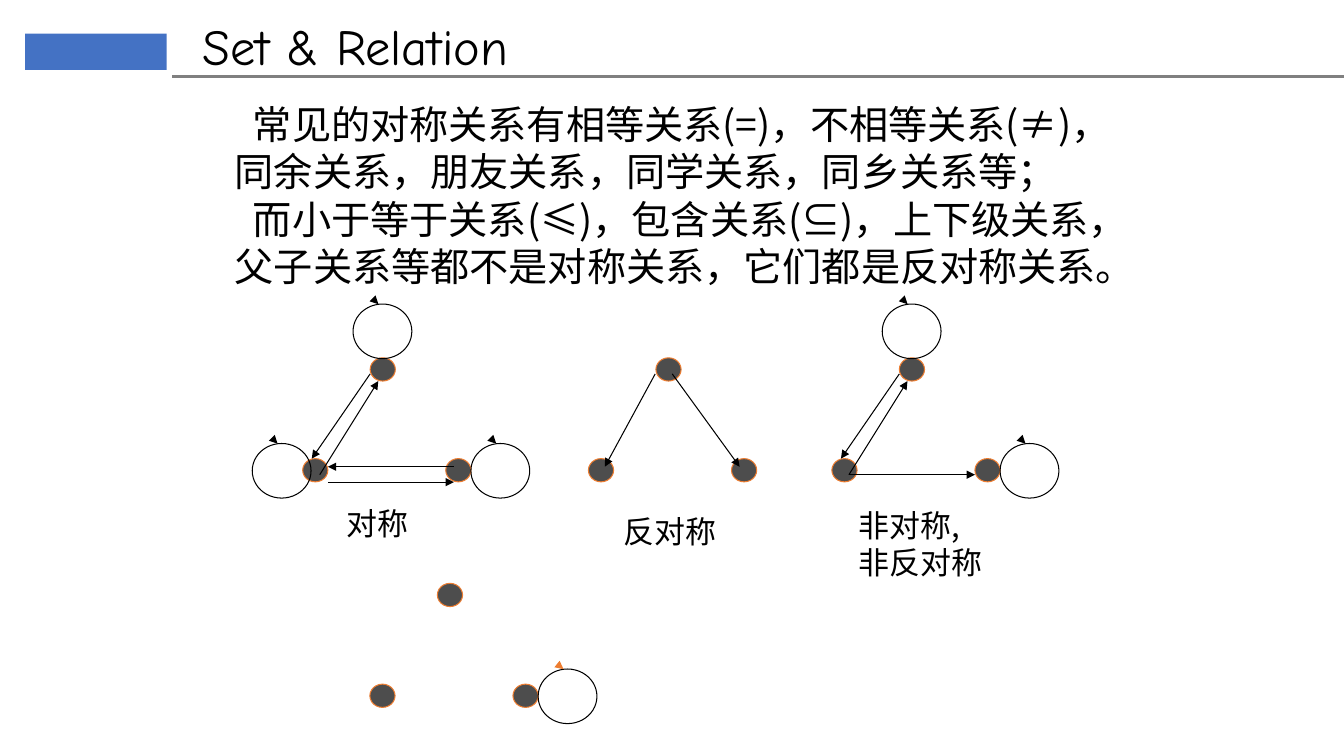
import pptx
import pptx.dml.color
import pptx.enum.shapes
import pptx.enum.text
import pptx.oxml.ns
import pptx.util
from lxml import etree

Pt = pptx.util.Pt
qn = pptx.oxml.ns.qn
ANCHOR = pptx.enum.text.MSO_ANCHOR
SHAPE = pptx.enum.shapes.MSO_SHAPE


class Theme:
    ink, dot, accent = "000000", "4D4D4D", "ED7D31"
    badge, rule = "4472C4", "808080"
    heading_size, body_size, label_size = 36, 28, 22.1
    heading_font, text_font = "Comic Neue", "Noto Sans CJK SC"
    hairline, rule_width = 0.75, 2


# Node and loop corners, and arrow ends, relative to a graph's box
DOT_SIZE, LOOP_SIZE = (18, 16.6), (42, 39)
NODES = {"top": (48.2, 0), "left": (0, 72), "right": (102.2, 72)}
LOOPS = {"top": (36, -38.4), "left": (-36, 61.2), "right": (120.2, 61.2)}
UP = (12.2, 83.5, 54, 16.6)
DOWN = (48.2, 11.5, 6.5, 72)

GRAPHS = [
    dict(box=(216.2, 255.6), loops=("top", "left", "right"),
         arrows=(UP, DOWN, (18, 88.8, 108, 88.8), (108, 77.8, 18, 77.8))),
    dict(box=(420.3, 255.6), loops=(),
         arrows=((47.7, 11.5, 11.7, 77.8), (59.9, 11.5, 108, 77.8))),
    dict(box=(594.2, 255.6), loops=("top", "right"),
         arrows=(UP, DOWN, (12.2, 83.5, 102.2, 83.5))),
]
SPARE_GRAPH = dict(box=(264.2, 416.7), loops=("right",), arrows=(), tip_color=Theme.accent)

LABELS = [
    ("对称", (240.5, 356.4, 66.2, 33.8)),
    ("反对称", (438.5, 362.2, 102.2, 33.8)),
    ("非对称,\v非反对称", (606.2, 357.9, 131.8, 61.2)),
]
EXAMPLES = [
    "常见的对称关系有相等关系(=)，不相等关系(≠)，同余关系，朋友关系，同学关系，同乡关系等；",
    "而小于等于关系(≤)，包含关系(⊆)，上下级关系，父子关系等都不是对称关系，它们都是反对称关系。",
]


def rgb(color):
    return pptx.dml.color.RGBColor.from_string(color)


def apply_format(target, values):
    for name, value in values.items():
        setattr(target, name, value)


def style_line(line, color, width):
    line.color.rgb = rgb(color)
    line.width = Pt(width)


def write(frame, paragraphs, size, font, line_height=None, indent=0, anchor=ANCHOR.TOP):
    """Fill a text frame with evenly formatted paragraphs."""
    apply_format(frame, dict(text="\n".join(paragraphs), word_wrap=True, vertical_anchor=anchor))
    for paragraph in frame.paragraphs:
        paragraph.alignment = pptx.enum.text.PP_ALIGN.LEFT
        if line_height:
            paragraph.line_spacing = Pt(line_height)
        if indent:
            paragraph._p.get_or_add_pPr().set("indent", str(Pt(indent)))
        for run in paragraph.runs:
            apply_format(run.font, dict(size=Pt(size), name=font))
            run.font.color.rgb = rgb(Theme.ink)
            etree.SubElement(run._r.get_or_add_rPr(), qn("a:ea")).set("typeface", font)


def add_text(slide, box, paragraphs, **text_format):
    textbox = slide.shapes.add_textbox(*map(Pt, box))
    write(textbox.text_frame, paragraphs, **text_format)


def add_line(shapes, ends, color=Theme.ink, width=Theme.hairline, arrow=True):
    line = shapes.add_connector(pptx.enum.shapes.MSO_CONNECTOR.STRAIGHT, *map(Pt, ends))
    style_line(line.line, color, width)
    if arrow:
        etree.SubElement(line.line._get_or_add_ln(), qn("a:tailEnd")).set("type", "triangle")
    etree.SubElement(line._element.spPr, qn("a:effectLst"))


def add_figure(shapes, kind, box, line_color=None, fill=None):
    """Add a preset shape; leave out a colour for no line or no fill."""
    figure = shapes.add_shape(kind, *map(Pt, box))
    figure.shadow.inherit = False
    if fill:
        figure.fill.solid()
        figure.fill.fore_color.rgb = rgb(fill)
    else:
        figure.fill.background()
    if line_color:
        style_line(figure.line, line_color, Theme.hairline)
    else:
        figure.line.fill.background()


def draw_header(slide, left, top):
    add_figure(slide.shapes, SHAPE.RECTANGLE, (left + 18, top + 24, 101, 26), fill=Theme.badge)
    add_line(slide.shapes, (left + 123, top + 54.7, left + 960, top + 54.7),
             Theme.rule, Theme.rule_width, arrow=False)
    title = slide.shapes.title
    apply_format(title, dict(left=Pt(left + 137.5), top=Pt(top + 7.2),
                             width=Pt(453.6), height=Pt(51.1)))
    write(title.text_frame, ["Set & Relation"], Theme.heading_size, Theme.heading_font,
          anchor=ANCHOR.MIDDLE)


def draw_graph(shapes, box, loops, arrows, tip_color=Theme.ink):
    """Draw three nodes with the given self-loops and arrows."""
    left, top = box
    for dx, dy in NODES.values():
        add_figure(shapes, SHAPE.OVAL, (left + dx, top + dy, *DOT_SIZE),
                   Theme.accent, Theme.dot)
    for node in loops:
        x, y = left + LOOPS[node][0], top + LOOPS[node][1]
        add_figure(shapes, SHAPE.OVAL, (x, y, *LOOP_SIZE), Theme.ink)
        add_line(shapes, (x + 18, y, x + 18.12, y + 0.12), tip_color)
    for x1, y1, x2, y2 in arrows:
        add_line(shapes, (left + x1, top + y1, left + x2, top + y2))


def main():
    deck = pptx.Presentation()
    apply_format(deck, dict(slide_width=Pt(960), slide_height=Pt(540)))
    slide = deck.slides.add_slide(deck.slide_layouts.get_by_name("Title Only"))
    draw_header(slide, 0, 0)
    add_text(slide, (160.6, 67.6, 655.9, 143.3), EXAMPLES, size=Theme.body_size,
             font=Theme.text_font, line_height=33.9, indent=13)
    for graph in GRAPHS:
        draw_graph(slide.shapes, **graph)
    draw_graph(slide.shapes.add_group_shape().shapes, **SPARE_GRAPH)
    for label, box in LABELS:
        add_text(slide, box, [label], size=Theme.label_size, font=Theme.text_font,
                 line_height=26.8)
    deck.save("out.pptx")


if __name__ == "__main__":
    main()
